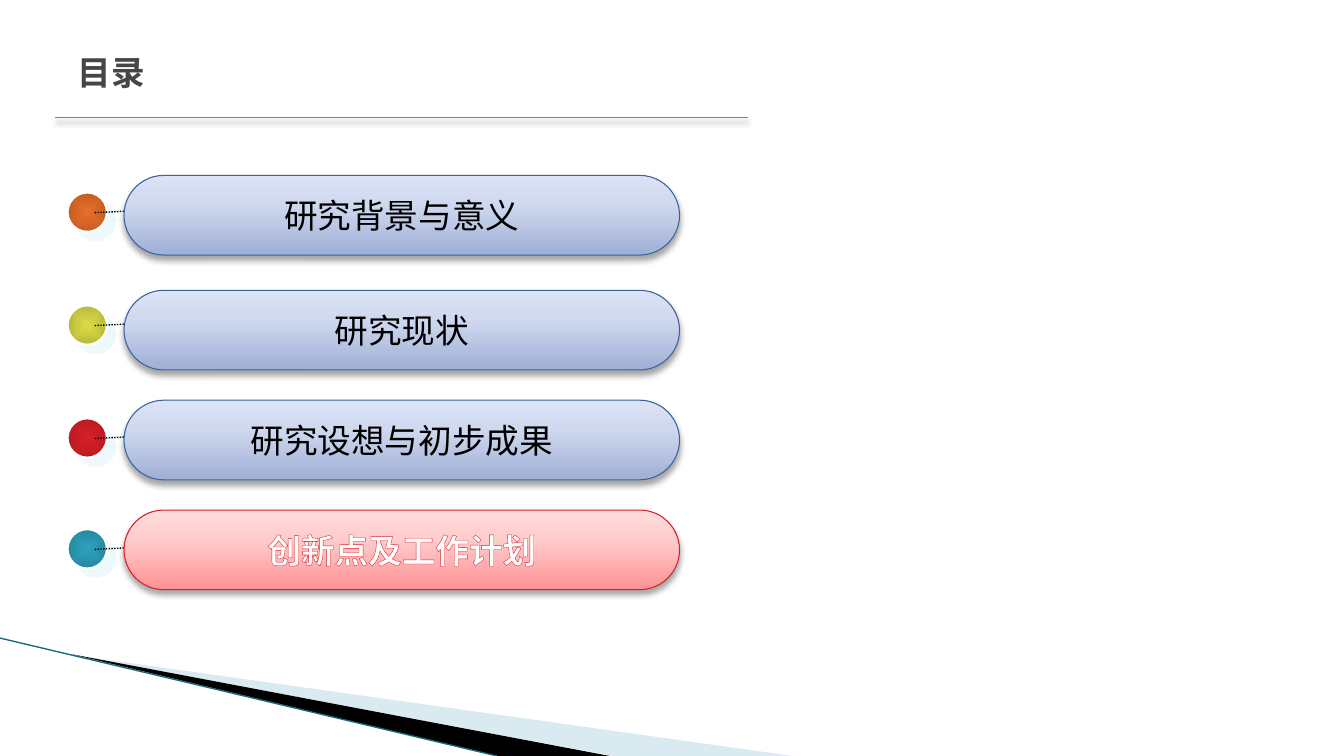
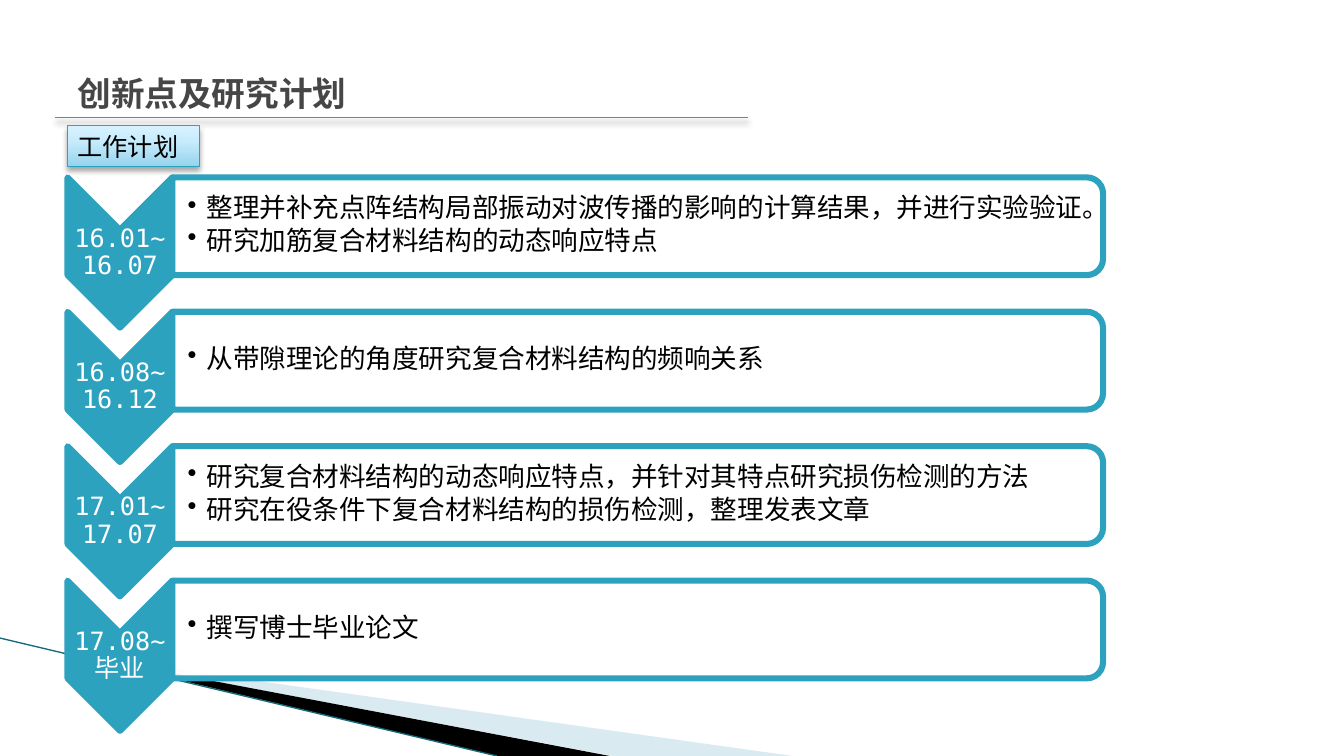
from dataclasses import dataclass

from lxml import etree
from pptx import Presentation, util as u
from pptx.dml.color import RGBColor
from pptx.enum import dml, shapes, text
from pptx.oxml import parse_xml
from pptx.oxml.ns import qn

W, H = 13.33, 7.5
FONT = "DejaVu Sans Mono"
KIND = shapes.MSO_SHAPE
MID, TOP = text.MSO_ANCHOR.MIDDLE, text.MSO_ANCHOR.TOP
LEFT, CENTER = text.PP_ALIGN.LEFT, text.PP_ALIGN.CENTER
NS = 'xmlns:a="http://schemas.openxmlformats.org/drawingml/2006/main"'

# Colours
BLACK = RGBColor(0x00, 0x00, 0x00)
WHITE = RGBColor(0xFF, 0xFF, 0xFF)
GREY = RGBColor(0x46, 0x46, 0x46)
TEAL = RGBColor(0x2D, 0xA2, 0xBF)
DEEP = RGBColor(0x16, 0x6A, 0x7C)
PALE = RGBColor(0xA0, 0xCB, 0xDC)
MIST = RGBColor(0xDE, 0xF5, 0xFA)
NAVY = RGBColor(0x39, 0x63, 0x9D)
RED = RGBColor(0xDA, 0x1F, 0x28)


@dataclass
class Shade:
    color: RGBColor
    alpha: int
    blur: float
    dist: float
    angle: int


@dataclass
class Blend:
    stops: list[tuple[int, RGBColor]]
    round: bool = False


@dataclass
class Topic:
    label: str
    top: float
    dot: float
    blend: Blend
    live: bool = False


@dataclass
class Stage:
    date: str
    tasks: list[str]


DROP = Shade(BLACK, 35, 4, 3, 90)
RULE = Shade(BLACK, 40, 4, 3, 90)
GLOW = Shade(MIST, 50, 0, 8.5, 45)


def ramp(low: str, mid: str, high: str) -> Blend:
    return Blend([(n, RGBColor.from_string(c)) for n, c in zip((0, 65, 100), (low, mid, high))])


def ball(core: str, rim: str) -> Blend:
    return Blend([(0, RGBColor.from_string(core)), (100, RGBColor.from_string(rim))], True)


BLUE = ramp("9FAFD6", "D0D9EF", "DCE3F6")
PINK = ramp("FF9294", "FFCDCD", "FFDCDC")
SKY = ramp("96D4EE", "C9ECFC", "D7F2FF")

TOPICS = [
    Topic("研究背景与意义", 1.74, 1.91, ball("E96E29", "C35C22")),
    Topic("研究现状", 2.88, 3.03, ball("DCDC48", "B8B83C")),
    Topic("研究设想与初步成果", 3.97, 4.15, ball("DA1F28", "B71A22")),
    Topic("创新点及工作计划", 5.06, 5.25, ball("2DA2BF", "2688A0"), True),
]
STAGES = [
    Stage("16.01~16.07", ["整理并补充点阵结构局部振动对波传播的影响的计算结果，并进行实验验证。",
                          "研究加筋复合材料结构的动态响应特点"]),
    Stage("16.08~16.12", ["从带隙理论的角度研究复合材料结构的频响关系"]),
    Stage("17.01~17.07", ["研究复合材料结构的动态响应特点，并针对其特点研究损伤检测的方法",
                          "研究在役条件下复合材料结构的损伤检测，整理发表文章"]),
    Stage("17.08~毕业", ["撰写博士毕业论文"]),
]


# Drawing helpers
def cast(item, shade: Shade | None) -> None:
    """Replace the theme shadow by the given one, or by none."""
    props = item._element.spPr
    box = props.find(qn("a:effectLst"))
    if box is None:
        box = etree.SubElement(props, qn("a:effectLst"))
    if shade:
        box.append(parse_xml(
            f'<a:outerShdw {NS} blurRad="{u.Pt(shade.blur)}" dist="{u.Pt(shade.dist)}" '
            f'dir="{shade.angle * 60000}" algn="ctr" rotWithShape="0">'
            f'<a:srgbClr val="{shade.color}"><a:alpha val="{shade.alpha * 1000}"/>'
            '</a:srgbClr></a:outerShdw>'))


def paint(item, fill: RGBColor | Blend, line: RGBColor | None = None, width: float = 0.75,
          alpha: int = 100, shade: Shade | None = None) -> None:
    item.shadow.inherit = False
    item.fill.solid()
    old = item._element.spPr.find(qn("a:solidFill"))
    if isinstance(fill, Blend):
        stops = "".join(f'<a:gs pos="{n * 1000}"><a:srgbClr val="{c}"/></a:gs>'
                        for n, c in fill.stops)
        way = ('<a:path path="shape"><a:fillToRect l="50000" t="50000" r="50000" b="50000"/>'
               '</a:path>' if fill.round else '<a:lin ang="16200000" scaled="0"/>')
        old.getparent().replace(old, parse_xml(
            f'<a:gradFill {NS} rotWithShape="1"><a:gsLst>{stops}</a:gsLst>{way}</a:gradFill>'))
    else:
        item.fill.fore_color.rgb = fill
        if alpha < 100:
            etree.SubElement(old[0], qn("a:alpha")).set("val", str(alpha * 1000))
    if line is None:
        item.line.fill.background()
    else:
        item.line.color.rgb = line
        item.line.width = u.Pt(width)
    cast(item, shade)


def shape(slide, kind, x: float, y: float, w: float, h: float):
    return slide.shapes.add_shape(kind, *map(u.Inches, (x, y, w, h)))


def turned(slide, kind, x: float, y: float, w: float, h: float):
    """Add a quarter-turned shape that covers the given box."""
    item = shape(slide, kind, x + (w - h) / 2, y + (h - w) / 2, h, w)
    item.rotation = 90
    return item


def line(slide, x1: float, y1: float, x2: float, y2: float, color: RGBColor,
         width: float, shade: Shade | None = None):
    item = slide.shapes.add_connector(shapes.MSO_CONNECTOR.STRAIGHT,
                                      *map(u.Inches, (x1, y1, x2, y2)))
    item.line.color.rgb = color
    item.line.width = u.Pt(width)
    cast(item, shade)
    return item


def wedge(slide, spots: list[tuple[float, float]], color: RGBColor, alpha: int = 100) -> None:
    first, *rest = [(u.Inches(x), u.Inches(y)) for x, y in spots]
    pen = slide.shapes.build_freeform(*first, scale=1.0)
    pen.add_line_segments(rest, close=True)
    paint(pen.convert_to_shape(), color, alpha=alpha)


def write(item, lines: list[str], size: float, color: RGBColor, align=LEFT, anchor=MID,
          bold: bool = False, wrap: bool = True, inset: tuple[float, float] | None = None,
          dense: bool = False, bullet: bool = False) -> None:
    frame = item.text_frame
    frame.word_wrap = wrap
    frame.vertical_anchor = anchor
    if inset:
        frame.margin_left = u.Inches(inset[0])
        frame.margin_right = frame.margin_top = frame.margin_bottom = u.Inches(inset[1])
    for n, words in enumerate(lines):
        para = frame.paragraphs[0] if n == 0 else frame.add_paragraph()
        para.text = words
        para.alignment = align
        if bullet:
            props = para._p.get_or_add_pPr()
            props.set("marL", str(u.Inches(0.19)))
            props.set("indent", str(u.Inches(-0.19)))
            etree.SubElement(props, qn("a:buChar")).set("char", "•")
        if dense:
            para.line_spacing = 0.9
            para.space_after = u.Pt(3)
        font = para.font
        font.name, font.size, font.bold = FONT, u.Pt(size), bold
        font.color.rgb = color


def label(slide, x: float, y: float, w: float, h: float, lines: list[str], size: float,
          color: RGBColor, **look) -> None:
    item = slide.shapes.add_textbox(*map(u.Inches, (x, y, w, h)))
    write(item, lines, size, color, **look)


# Shared slide frame: corner wedges, rule and title
def page(deck, title: str, top: float):
    slide = deck.slides.add_slide(deck.slide_layouts[6])
    wedge(slide, [(0.73, 6.5), (7.86, H), (6.08, H)], PALE, 40)
    wedge(slide, [(0.71, 6.49), (6.05, H), (4.93, H)], BLACK)
    line(slide, 0, 6.33, 4.93, H, DEEP, 0.95)
    line(slide, 0.55, 1.17, 7.42, 1.17, TEAL, 0.75, RULE)
    label(slide, 0.67, top, 12, 1.25, [title], 24, GREY, bold=True)
    return slide


# Contents slide
def topic(slide, item: Topic) -> None:
    dot = shape(slide, KIND.OVAL, 0.67, item.dot, 0.39, 0.39)
    paint(dot, item.blend, WHITE, 1.5, shade=GLOW)
    link = line(slide, 0.94, item.dot + 0.2, 1.36, item.dot + 0.18, BLACK, 1, GLOW)
    link.line.dash_style = dml.MSO_LINE.ROUND_DOT
    pill = shape(slide, KIND.ROUNDED_RECTANGLE, 1.23, item.top, 5.51, 0.79)
    pill.adjustments[0] = 0.5
    paint(pill, PINK if item.live else BLUE, RED if item.live else NAVY, shade=DROP)
    write(pill, [item.label], 24, WHITE if item.live else BLACK, CENTER,
          bold=item.live, wrap=False)
    if item.live:
        edge = parse_xml(f'<a:ln {NS} w="{u.Pt(0.52)}"><a:solidFill>'
                         f'<a:srgbClr val="{RED}"/></a:solidFill></a:ln>')
        run = pill.text_frame.paragraphs[0].runs[0]
        run.font.color.rgb = WHITE
        run._r.get_or_add_rPr().insert(0, edge)


# Work plan slide
def stage(slide, item: Stage, top: float) -> None:
    mark = turned(slide, KIND.CHEVRON, 0.67, top, 1.04, 1.49)
    paint(mark, TEAL, TEAL, 4.33)
    label(slide, 0.67, top + 0.52, 1.04, 0.45, [item.date], 18, WHITE, align=CENTER,
          inset=(0.01, 0.01), dense=True)
    panel = turned(slide, KIND.ROUND_2_SAME_RECTANGLE, 1.71, top, 9.23, 0.97)
    paint(panel, WHITE, TEAL, 4.33, alpha=90)
    label(slide, 1.71, top + 0.04, 9.18, 0.88, item.tasks, 19, BLACK,
          inset=(0.15, 0.01), dense=True, bullet=True)


def main() -> None:
    deck = Presentation()
    deck.slide_width, deck.slide_height = u.Inches(W), u.Inches(H)

    menu = page(deck, "目录", 0.09)
    for item in TOPICS:
        topic(menu, item)

    plan = page(deck, "创新点及研究计划", 0.3)
    tag = shape(plan, KIND.RECTANGLE, 0.67, 1.25, 1.31, 0.4)
    paint(tag, SKY, TEAL, shade=DROP)
    write(tag, ["工作计划"], 18, BLACK, anchor=TOP)
    step = H * 8 / 45
    for n, item in enumerate(STAGES):
        stage(plan, item, 1.76 + n * step)

    deck.save("out.pptx")


if __name__ == "__main__":
    main()
